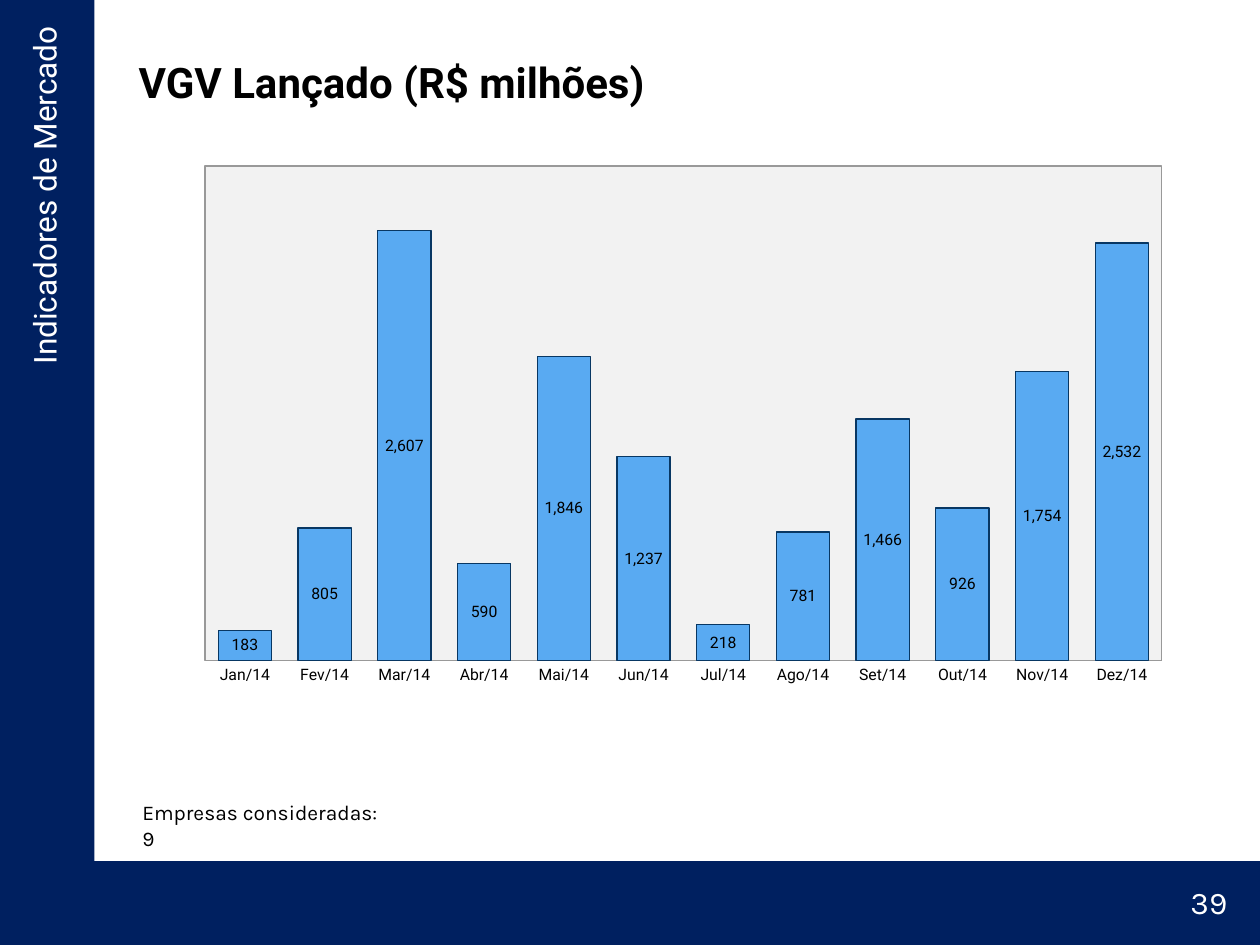
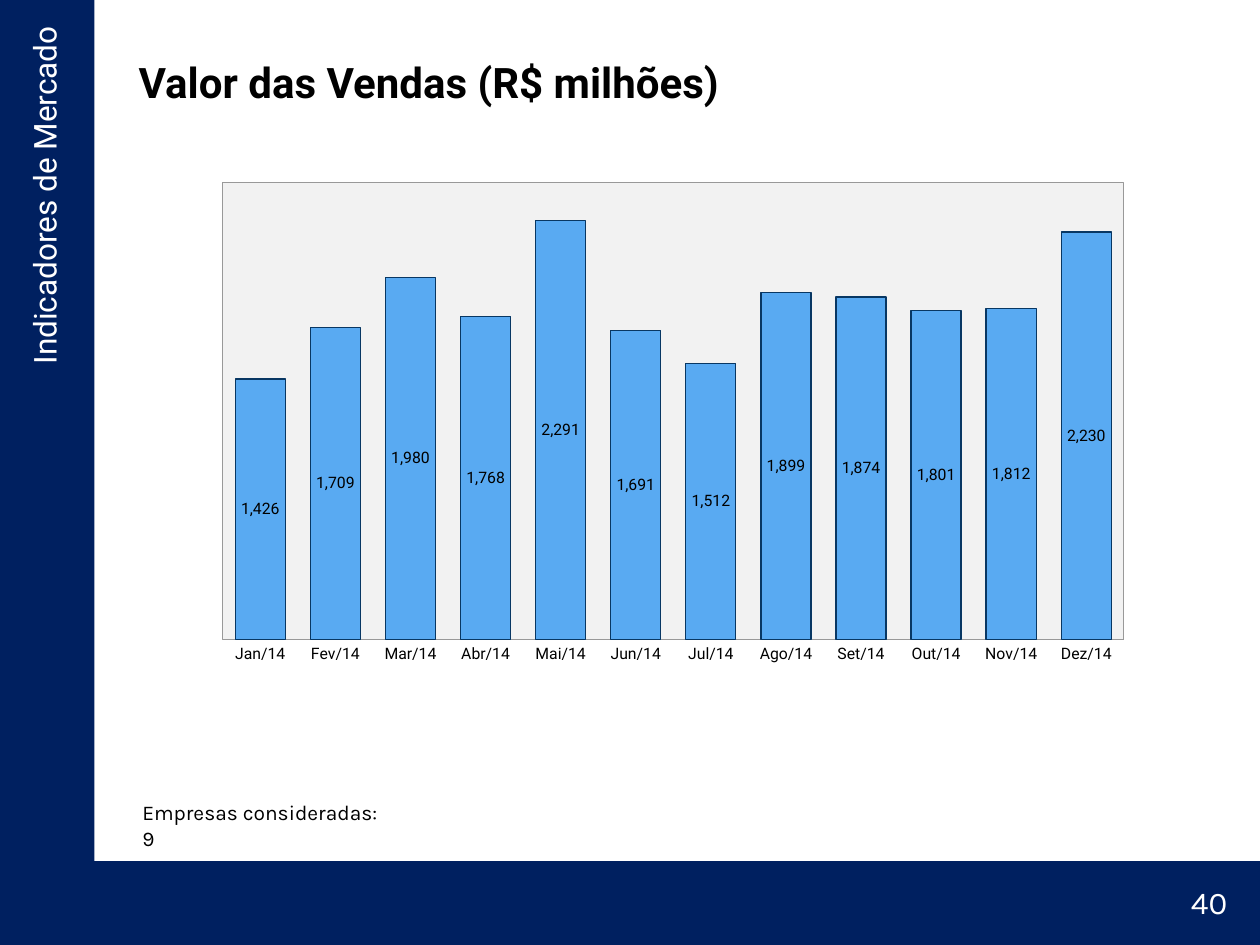
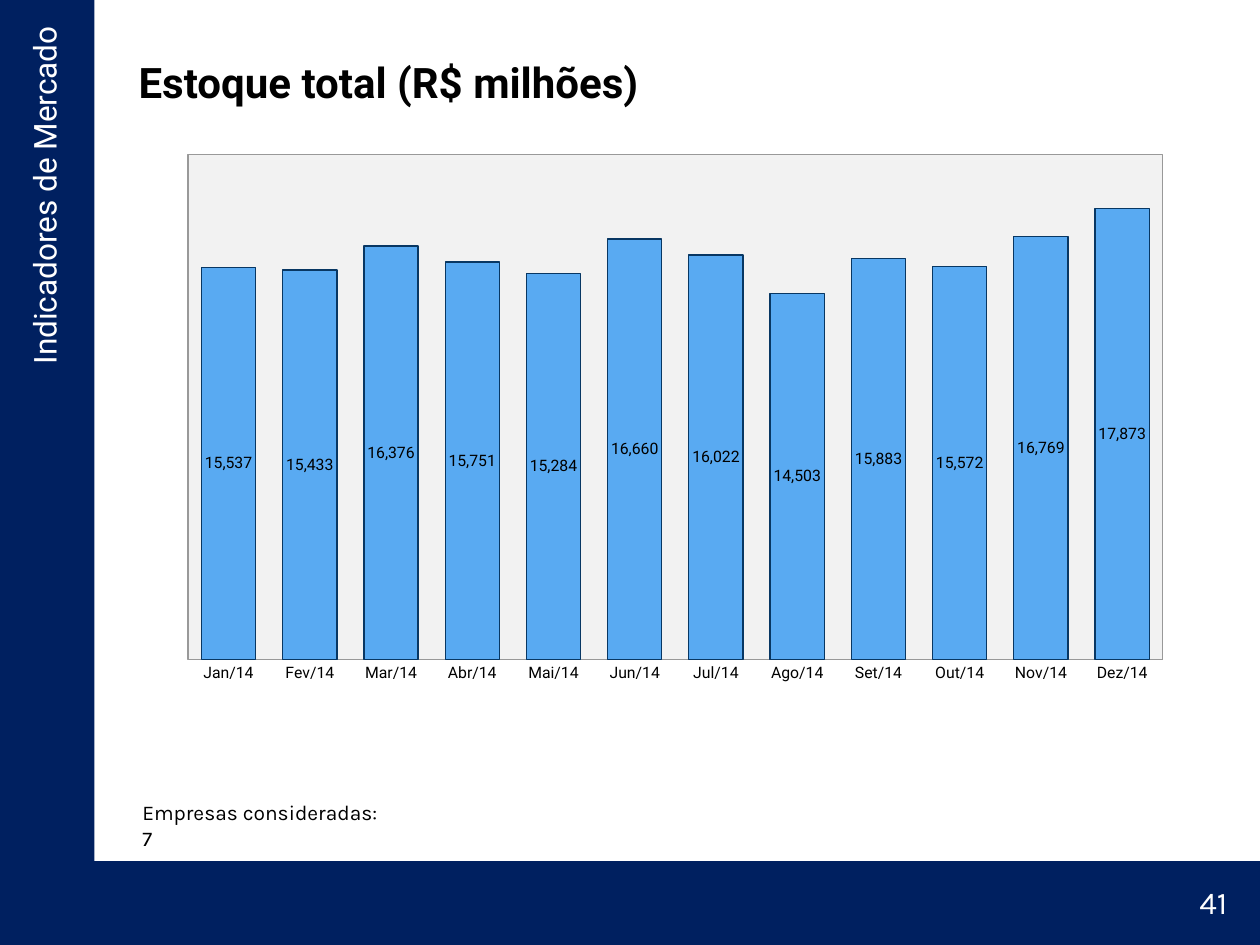
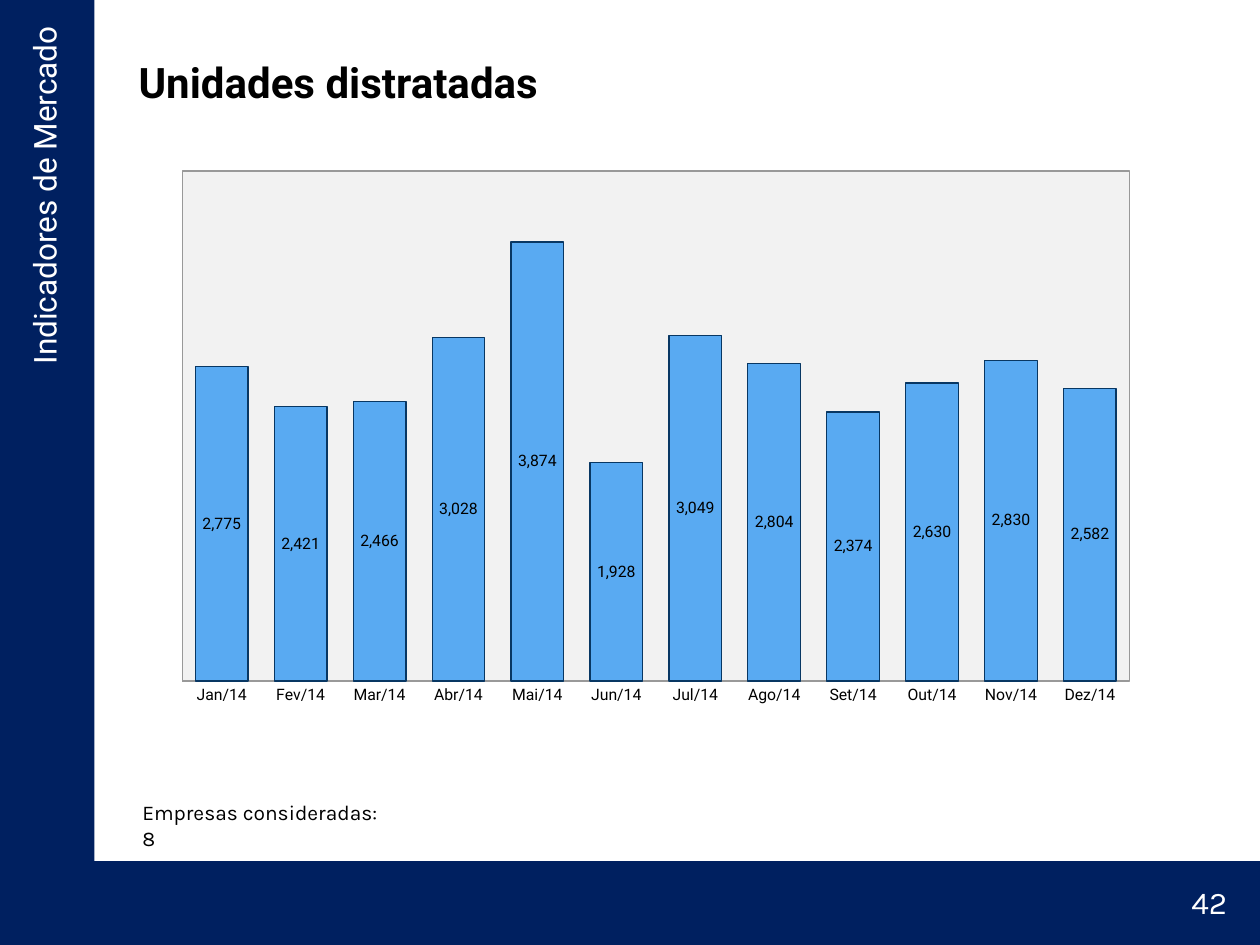
"""Build the four market-indicator slides with monthly column charts."""
from dataclasses import dataclass

from lxml.etree import SubElement
from pptx import Presentation
from pptx.chart.data import CategoryChartData
from pptx.dml.color import RGBColor
from pptx.enum.chart import XL_CHART_TYPE as ChartType
from pptx.enum.chart import XL_LABEL_POSITION as LabelPosition
from pptx.enum.chart import XL_TICK_LABEL_POSITION as TickLabels
from pptx.enum.chart import XL_TICK_MARK as TickMark
from pptx.enum.shapes import MSO_SHAPE as Preset
from pptx.enum.text import MSO_ANCHOR as Anchor
from pptx.enum.text import PP_ALIGN as Align
from pptx.oxml import parse_xml
from pptx.oxml.ns import nsdecls, qn
from pptx.util import Pt


@dataclass(frozen=True)
class Theme:
    navy: str = "002060"
    white: str = "FFFFFF"
    black: str = "000000"
    columns: tuple = ("59AAF2", "0B5394")
    column_edge: str = "083763"
    plot: str = "F2F2F2"
    plot_edge: str = "999999"
    heading_font: str = "Roboto"
    text_font: str = "Karla"
    title_size: float = 24
    band_size: float = 18
    note_size: float = 12
    chart_size: float = 10
    label_size: float = 9
    hairline: float = 0.75


SECTION = "Indicadores de Mercado"
FIRST_NUMBER = 39
MONTHS = [f"{month}/14" for month in
          "Jan Fev Mar Abr Mai Jun Jul Ago Set Out Nov Dez".split()]
NO_VALUES = [None] * len(MONTHS)

BOTTOM_BAND = (0, 492, 720, 48)
SIDE_BAND = (0, 0, 54, 492)
SECTION_BOX = (-183.6, 202.3, 417.6, 28.8)
TITLE_BOX = (72, 21.6, 612, 50.4)
NUMBER_BOX = (642.2, 501.1, 66.2, 28.8)
NOTE_BOX = (74.2, 453.6, 152.6, 36)
PLOT_MARGIN = 26

INDICATORS = [
    dict(title="VGV Lançado (R$ milhões)", companies=9, ceiling=3000,
         box=(105.8, 88.6, 569.5, 308.9),
         series=[[183, 805, 2607, 590, 1846, 1237, 218, 781, 1466, 926, 1754, 2532],
                 NO_VALUES]),
    dict(title="Valor das Vendas (R$ milhões)", companies=9, ceiling=2500,
         box=(116.6, 98.6, 536.4, 287.3),
         series=[[1426, 1709, 1980, 1768, 2291, 1691, 1512, 1899, 1874, 1801, 1812, 2230]]),
    dict(title="Estoque total (R$ milhões)", companies=7, ceiling=20000,
         box=(95.8, 82.1, 580.3, 314.6),
         series=[[15537, 15433, 16376, 15751, 15284, 16660,
                  16022, 14503, 15883, 15572, 16769, 17873]]),
    dict(title="Unidades distratadas", companies=8, ceiling=4500,
         box=(92.9, 91.4, 563.8, 317.5),
         series=[[2775, 2421, 2466, 3028, 3874, 1928, 3049, 2804, 2374, 2630, 2830, 2582],
                 NO_VALUES]),
]


def assign(target, **values):
    for attribute, value in values.items():
        setattr(target, attribute, value)


def points(box):
    return [Pt(length) for length in box]


class Deck:
    def __init__(self, theme):
        self.theme = theme
        self.prs = Presentation()
        assign(self.prs, slide_width=Pt(720), slide_height=Pt(540))
        self.layout = self.prs.slide_layouts[5]
        self.slide = None

    def new_slide(self):
        self.slide = self.prs.slides.add_slide(self.layout)
        if len(self.prs.slides) == 1:
            self.share_frame()

    def share_frame(self):
        theme = self.theme
        section = self.text(SECTION, SECTION_BOX, theme.heading_font, theme.band_size,
                            theme.white, Align.RIGHT)
        section.rotation = 270
        tree = self.layout.shapes.element
        for position, part in enumerate([self.band(BOTTOM_BAND), self.band(SIDE_BAND), section]):
            part.element.nvSpPr.cNvPr.id = 101 + position
            tree.insert(2 + position, part.element)

    def style(self, font, name, size, color, bold=False):
        assign(font, name=name, size=Pt(size), bold=bold)
        font.color.rgb = RGBColor.from_string(color)

    def fill(self, fill, color):
        fill.solid()
        fill.fore_color.rgb = RGBColor.from_string(color)

    def outline(self, line, color):
        line.width = Pt(self.theme.hairline)
        self.fill(line.fill, color)

    def band(self, box):
        band = self.slide.shapes.add_shape(Preset.RECTANGLE, *points(box))
        band.shadow.inherit = False
        self.fill(band.fill, self.theme.navy)
        band.line.fill.background()
        return band

    def text(self, words, box, font, size, color, align=Align.LEFT):
        holder = self.slide.shapes.add_textbox(*points(box))
        assign(holder.text_frame, text=words, word_wrap=True)
        paragraph = holder.text_frame.paragraphs[0]
        paragraph.alignment = align
        self.style(paragraph.runs[0].font, font, size, color)
        return holder

    def title(self, words):
        theme, title = self.theme, self.slide.shapes.title
        assign(title, **dict(zip(("left", "top", "width", "height"), points(TITLE_BOX))))
        assign(title.text_frame, text=words, vertical_anchor=Anchor.MIDDLE)
        paragraph = title.text_frame.paragraphs[0]
        paragraph.alignment = Align.LEFT
        self.style(paragraph.runs[0].font, theme.heading_font, theme.title_size,
                   theme.black, bold=True)

    def column_chart(self, box, series, ceiling):
        theme = self.theme
        monthly = CategoryChartData(number_format="#,##0")
        monthly.categories = MONTHS
        for position, values in enumerate(series, 1):
            monthly.add_series(f"Series {position}", values)
        chart = self.slide.shapes.add_chart(
            ChartType.COLUMN_STACKED, *points(box), monthly).chart
        assign(chart, has_legend=False, has_title=False)
        self.style(chart.font, theme.text_font, theme.chart_size, theme.black)

        assign(chart.value_axis, visible=False, has_major_gridlines=False,
               minimum_scale=0, maximum_scale=ceiling)
        months = chart.category_axis
        assign(months, major_tick_mark=TickMark.NONE, minor_tick_mark=TickMark.NONE,
               tick_label_position=TickLabels.NEXT_TO_AXIS, has_major_gridlines=False)
        months.tick_labels.offset = 0
        self.style(months.tick_labels.font, theme.heading_font, theme.label_size, theme.black)
        self.outline(months.format.line, theme.plot_edge)

        plot = chart.plots[0]
        assign(plot, gap_width=50, overlap=100, vary_by_categories=False, has_data_labels=True)
        assign(plot.data_labels, show_value=True, position=LabelPosition.CENTER,
               number_format="#,##0", number_format_is_linked=False)
        self.style(plot.data_labels.font, theme.heading_font, theme.label_size, theme.black)
        for columns, color in zip(plot.series, theme.columns):
            self.fill(columns.format.fill, color)
            self.outline(columns.format.line, theme.column_edge)
        self.plot_area(chart.element.chart.plotArea, 1 - PLOT_MARGIN / box[3])

    def plot_area(self, area, height):
        theme = self.theme
        for layout in area.findall(qn("c:layout")):
            area.remove(layout)
        layout = parse_xml(f"<c:layout {nsdecls('c')}/>")
        manual = SubElement(layout, qn("c:manualLayout"))
        placement = {"layoutTarget": "inner", "xMode": "edge", "yMode": "edge",
                     "x": 0.02, "y": 0.02, "w": 0.96, "h": height}
        for tag, value in placement.items():
            SubElement(manual, qn(f"c:{tag}")).set("val", str(value))
        area.insert(0, layout)
        area.append(parse_xml(
            f'<c:spPr {nsdecls("c", "a")}>'
            f'<a:solidFill><a:srgbClr val="{theme.plot}"/></a:solidFill>'
            f'<a:ln w="{Pt(theme.hairline)}"><a:solidFill>'
            f'<a:srgbClr val="{theme.plot_edge}"/></a:solidFill></a:ln></c:spPr>'))


def main():
    theme = Theme()
    deck = Deck(theme)
    for number, indicator in enumerate(INDICATORS, FIRST_NUMBER):
        deck.new_slide()
        deck.title(indicator["title"])
        deck.text(str(number), NUMBER_BOX, theme.text_font, theme.band_size,
                  theme.white, Align.RIGHT)
        deck.text(f"Empresas consideradas: {indicator['companies']}", NOTE_BOX,
                  theme.text_font, theme.note_size, theme.black)
        deck.column_chart(indicator["box"], indicator["series"], indicator["ceiling"])
    deck.prs.save("out.pptx")


if __name__ == "__main__":
    main()
